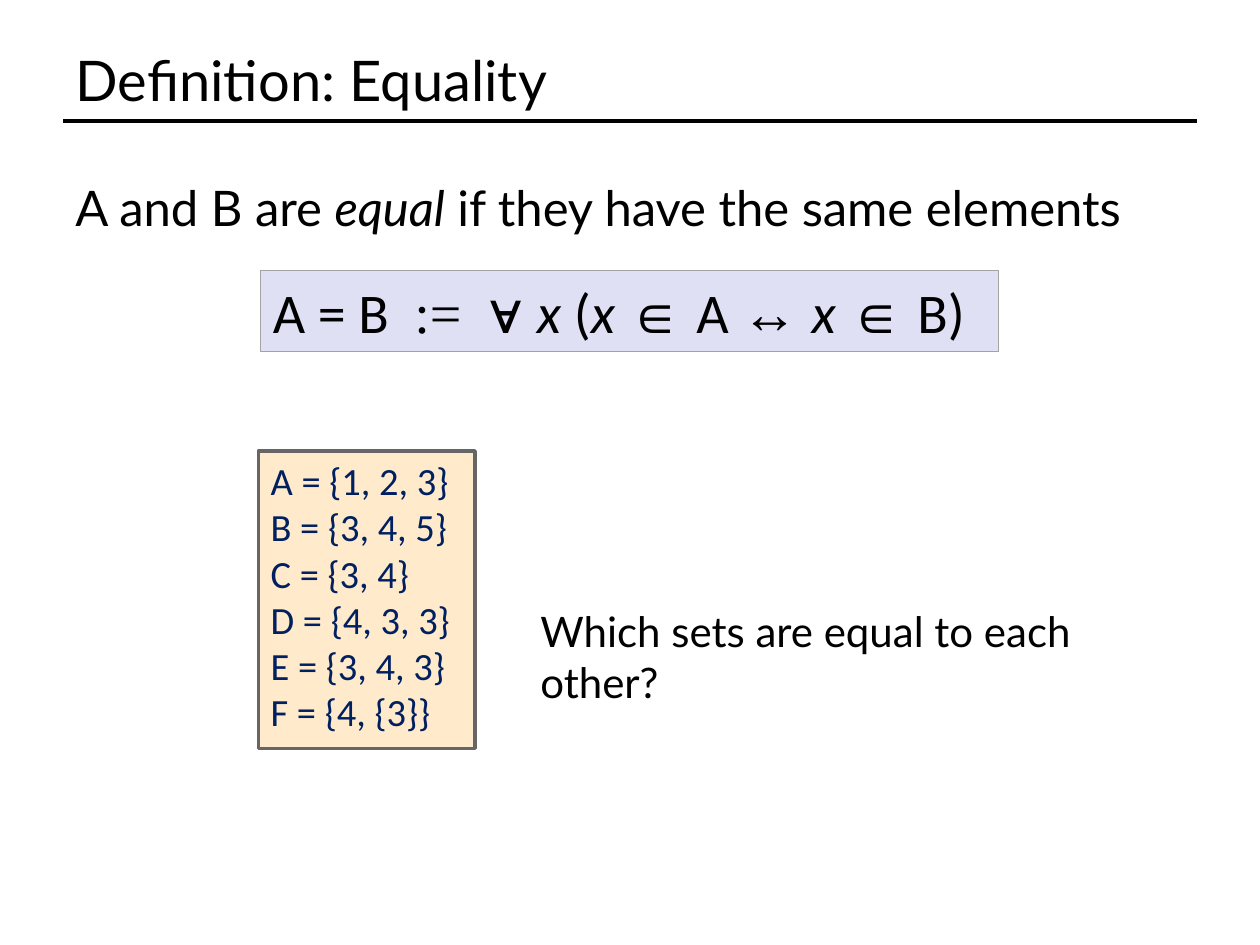
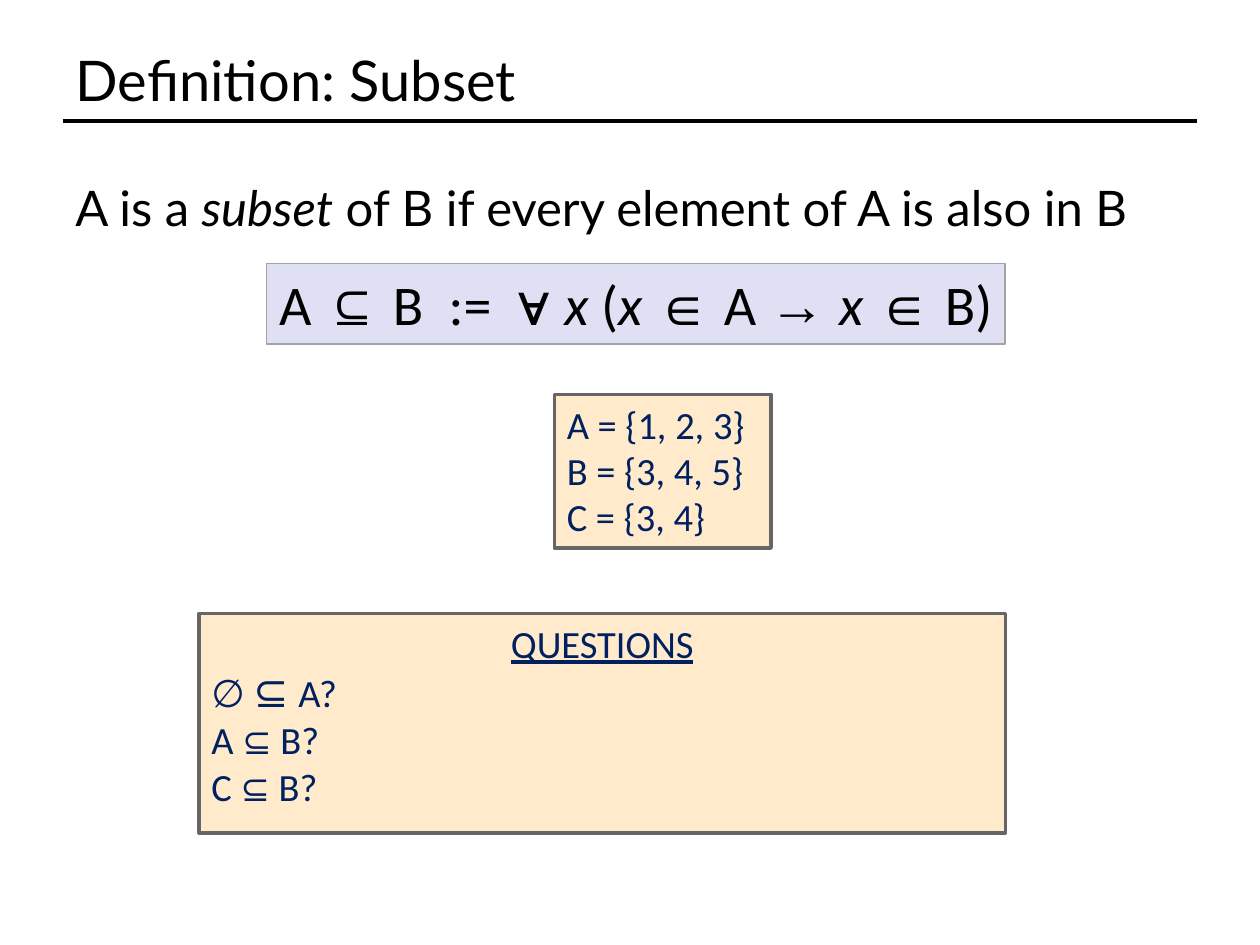
from dataclasses import dataclass, field
from typing import Any

from lxml import etree
from pptx import Presentation
from pptx.dml.color import RGBColor
from pptx.enum.shapes import MSO_CONNECTOR, MSO_SHAPE
from pptx.enum.text import MSO_ANCHOR, MSO_AUTO_SIZE, PP_ALIGN
from pptx.oxml.ns import qn
from pptx.util import Pt

BLACK, NAVY = "000000", "002060"
LATO, CALIBRI, TIMES = "Lato", "Calibri", "Times New Roman"
SET_W = 123.84


@dataclass
class Run:
    text: str
    fmt: dict[str, Any] = field(default_factory=dict)


@dataclass
class Para:
    runs: list[Run]
    align: PP_ALIGN = PP_ALIGN.LEFT


@dataclass
class TextStyle:
    name: str
    size: float
    color: str = BLACK


@dataclass
class BoxStyle:
    fill: str
    line: str
    width: float
    text: TextStyle


@dataclass
class Box:
    at: tuple[float, float, float, float]
    style: BoxStyle
    paras: list[Para]


@dataclass
class Definition:
    title: str
    statement: Para
    boxes: list[Box]


TITLE = TextStyle(LATO, 32)
STATEMENT = TextStyle(LATO, 28)
PROMPT = TextStyle(LATO, 24)
FORMULA = BoxStyle("E0E0F5", "A3A3A3", 0.75, TextStyle(CALIBRI, 32))
EXAMPLE = BoxStyle("FFEBCC", "666666", 2, TextStyle(CALIBRI, 22, NAVY))


def rgb(value: str) -> RGBColor:
    return RGBColor.from_string(value)


def italic(text: str) -> Run:
    return Run(text, {"italic": True})


def symbol(text: str) -> Run:
    return Run(text, {"name": TIMES})


def sized(text: str, size: float) -> Run:
    return Run(text, {"size": Pt(size)})


def plain(*lines: str) -> list[Para]:
    return [Para([Run(line)]) for line in lines]


def formula(start: list[Run], arrow: str) -> list[Para]:
    """Both definitions quantify over x in the same way."""
    member = [italic("x "), symbol("∈")]
    return [Para([*start, italic("x"), Run(" ("), *member, Run(" A "),
                  symbol(arrow + " "), *member, Run(" B)")])]


def write(tf, paras: list[Para], style: TextStyle, anchor=MSO_ANCHOR.TOP) -> None:
    frame = {"word_wrap": True, "auto_size": MSO_AUTO_SIZE.NONE, "vertical_anchor": anchor}
    for key, value in frame.items():
        setattr(tf, key, value)
    for i, para in enumerate(paras):
        p = tf.paragraphs[0] if i == 0 else tf.add_paragraph()
        p.alignment = para.align
        for run in para.runs:
            r = p.add_run()
            r.text = run.text
            r.font.color.rgb = rgb(style.color)
            fmt = {"name": style.name, "size": Pt(style.size)} | run.fmt
            for key, value in fmt.items():
                setattr(r.font, key, value)


def add_text(s, at: tuple[float, ...], para: Para, style: TextStyle) -> None:
    write(s.shapes.add_textbox(*map(Pt, at)).text_frame, [para], style)


def add_box(s, box: Box) -> None:
    sp = s.shapes.add_shape(MSO_SHAPE.RECTANGLE, *map(Pt, box.at))
    sp.shadow.inherit = False
    sp.fill.solid()
    sp.fill.fore_color.rgb = rgb(box.style.fill)
    sp.line.color.rgb = rgb(box.style.line)
    sp.line.width = Pt(box.style.width)
    write(sp.text_frame, box.paras, box.style.text)


def add_title(s, title: str) -> None:
    sp = s.shapes.title
    place = {"left": 36, "top": 21.6, "width": 648, "height": 47.52}
    for key, value in place.items():
        setattr(sp, key, Pt(value))
    write(sp.text_frame, plain(title), TITLE, MSO_ANCHOR.MIDDLE)
    # Rule under the title
    rule = s.shapes.add_connector(MSO_CONNECTOR.STRAIGHT, *map(Pt, (36, 69.12, 684, 69.12)))
    rule.line.color.rgb = rgb(BLACK)
    rule.line.width = Pt(2)
    etree.SubElement(rule._element.spPr, qn("a:effectLst"))


def add_definition(prs, definition: Definition):
    s = prs.slides.add_slide(prs.slide_layouts[5])
    add_title(s, definition.title)
    add_text(s, (36, 97.92, 648, 404.64), definition.statement, STATEMENT)
    for box in definition.boxes:
        add_box(s, box)
    return s


SETS = ["A = {1, 2, 3}", "B = {3, 4, 5}", "C = {3, 4}"]
MORE_SETS = ["D = {4, 3, 3}", "E = {3, 4, 3}", "F = {4, {3}}"]

EQUALITY = Definition(
    "Definition: Equality",
    Para([Run("A and B are "), italic("equal"), Run(" if they have the same elements")]),
    [Box((148.8, 154.8, 422, 46.08), FORMULA,
         formula([Run("A = B  "), symbol(":=  ∀ ")], "↔")),
     Box((147.6, 257.76, SET_W, 169.92), EXAMPLE, plain(*SETS, *MORE_SETS))])

QUESTIONS = [
    Para([Run("QUESTIONS", {"underline": True})], PP_ALIGN.CENTER),
    Para([Run("∅ "), sized("⊆ ", 24), Run("A?")]),
    *[Para([Run(f"{name} "), sized("⊆", 20), Run(" B?")]) for name in "AC"]]

SUBSET = Definition(
    "Definition: Subset",
    Para([Run("A is a "), italic("subset"),
          Run(" of B if every element of A is also in B")]),
    [Box((316.8, 225.36, SET_W, 87.84), EXAMPLE, plain(*SETS)),
     Box((113.76, 350.64, 460.8, 125.28), EXAMPLE, QUESTIONS),
     Box((152.4, 150.48, 422, 46.08), FORMULA,
         formula([Run("A "), symbol("⊆"), Run(" B  :=  "), symbol("∀ ")], "→"))])


def main() -> None:
    prs = Presentation()
    prs.slide_width, prs.slide_height = Pt(720), Pt(540)
    s = add_definition(prs, EQUALITY)
    add_text(s, (301.68, 342.72, 387.36, 36),
             plain("Which sets are equal to each other?")[0], PROMPT)
    add_definition(prs, SUBSET)
    prs.save("out.pptx")


if __name__ == "__main__":
    main()
